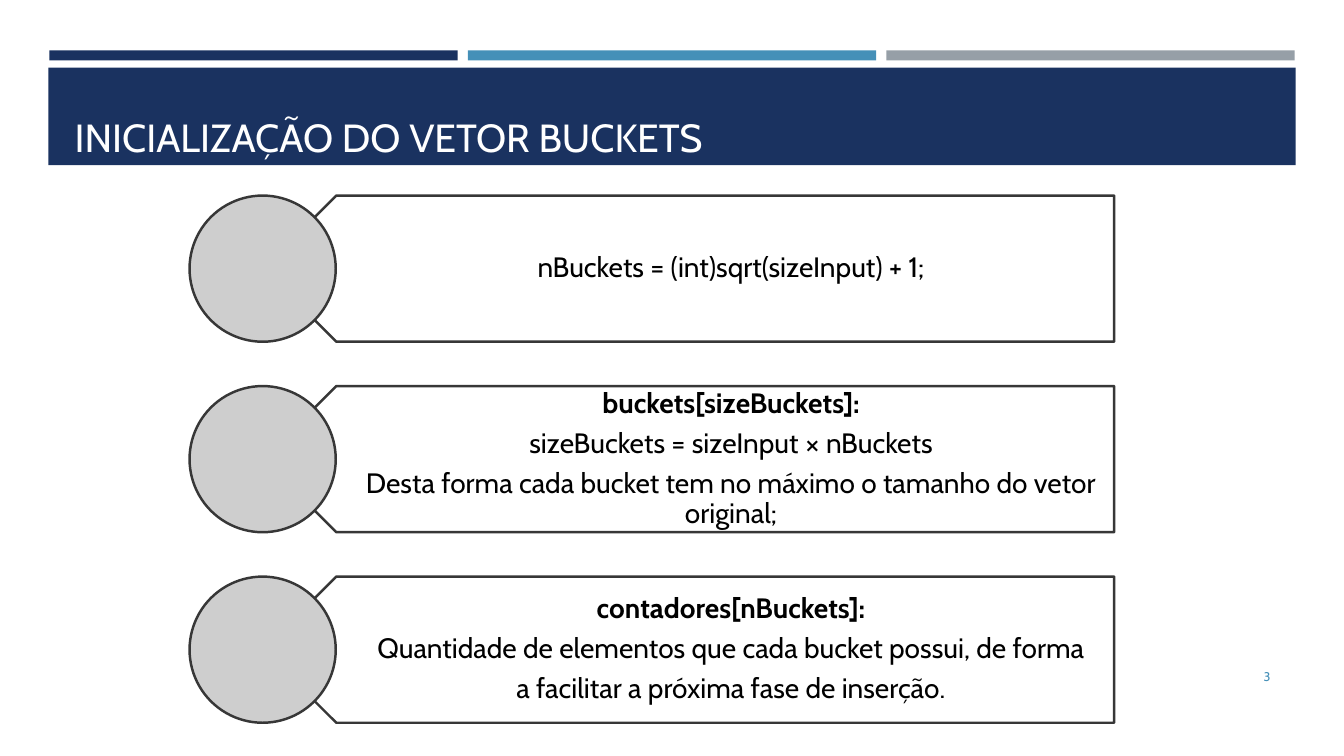
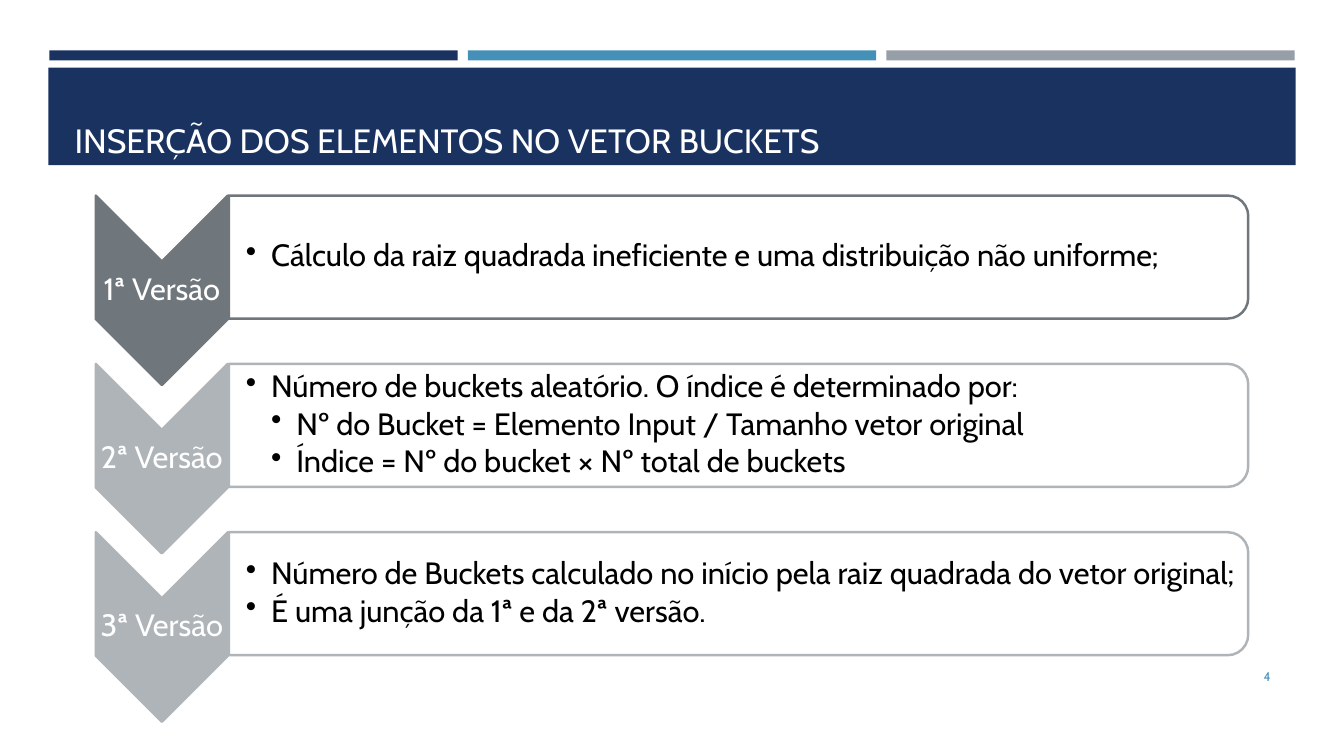
import itertools
from dataclasses import dataclass
from typing import Any

import lxml.etree
import pptx
import pptx.dml.color
import pptx.enum.shapes
import pptx.enum.text
import pptx.oxml.ns
import pptx.util

Inches = pptx.util.Inches
Pt = pptx.util.Pt
Shape = pptx.enum.shapes.MSO_SHAPE
Align = pptx.enum.text.PP_ALIGN
Anchor = pptx.enum.text.MSO_ANCHOR

NAVY, BLUE, GREY = "1A3260", "4590B8", "969FA7"
WHITE, BLACK = "FFFFFF", "000000"
OUTLINE, DISC = "373737", "CECECE"
DARK_STEP, LIGHT_STEP = "6F767C", "AFB4B9"
BODY_FONT, SYMBOL_FONT = "Cabin", "Karla"


@dataclass(frozen=True)
class Frame:
    left: float
    top: float
    width: float
    height: float

    def lengths(self) -> list[Any]:
        return [Inches(n) for n in (self.left, self.top, self.width, self.height)]

    def turned(self) -> "Frame":
        shift = (self.width - self.height) / 2
        return Frame(self.left + shift, self.top - shift, self.height, self.width)


@dataclass(frozen=True)
class Line:
    text: str
    bold: bool = False
    level: int = 0


@dataclass(frozen=True)
class Version:
    label: str
    color: str
    lines: tuple[Line, ...]


BUCKET_ROWS = (
    (Line("nBuckets = (int)sqrt(sizeInput) + 1;"),),
    (
        Line("buckets[sizeBuckets]:", bold=True),
        Line("sizeBuckets = sizeInput × nBuckets"),
        Line("Desta forma cada bucket tem no máximo o tamanho do vetor original;"),
    ),
    (
        Line("contadores[nBuckets]:", bold=True),
        Line("Quantidade de elementos que cada bucket possui, de forma"),
        Line("a facilitar a próxima fase de inserção."),
    ),
)

VERSIONS = (
    Version("1ª Versão", DARK_STEP, (
        Line("Cálculo da raiz quadrada ineficiente e uma distribuição não uniforme;", level=1),
    )),
    Version("2ª Versão", LIGHT_STEP, (
        Line("Número de buckets aleatório. O índice é determinado por:", level=1),
        Line("Nº do Bucket = Elemento Input / Tamanho vetor original", level=2),
        Line("Índice = Nº do bucket × Nº total de buckets", level=2),
    )),
    Version("3ª Versão", LIGHT_STEP, (
        Line("Número de Buckets calculado no início pela raiz quadrada do vetor original;", level=1),
        Line("É uma junção da 1ª e da 2ª versão.", level=1),
    )),
)


def rgb(color: str) -> pptx.dml.color.RGBColor:
    return pptx.dml.color.RGBColor.from_string(color)


def add_figure(page: Any, kind: Any, frame: Frame, fill: str, line: str | None = None,
               rotation: int = 0, opacity: int = 100) -> Any:
    figure = page.shapes.add_shape(kind, *frame.lengths())
    figure.shadow.inherit = False
    figure.rotation = rotation
    figure.fill.solid()
    figure.fill.fore_color.rgb = rgb(fill)
    if opacity < 100:
        swatch = figure.element.spPr.find(".//" + pptx.oxml.ns.qn("a:srgbClr"))
        alpha = lxml.etree.SubElement(swatch, pptx.oxml.ns.qn("a:alpha"))
        alpha.set("val", str(opacity * 1000))
    if line:
        figure.line.color.rgb = rgb(line)
        figure.line.width = Pt(1.75)
    else:
        figure.line.fill.background()
    return figure


def write(text_frame: Any, text: str, *, size: float, color: str, align: Any = Align.LEFT,
          bold: bool = False, level: int = 0, spacing: float = 1, after: float = 0) -> None:
    para = text_frame.paragraphs[0]
    if para.runs:
        para = text_frame.add_paragraph()
    para.alignment = align
    para.line_spacing = spacing
    para.space_before = Pt(0)
    para.space_after = Pt(after)
    if level:
        para.level = level
        properties = para._p.get_or_add_pPr()
        properties.set("marL", str(Inches(0.25 * level)))
        properties.set("indent", str(Inches(-0.25)))
        bullet = lxml.etree.SubElement(properties, pptx.oxml.ns.qn("a:buChar"))
        bullet.set("char", "•")
    for is_symbol, letters in itertools.groupby(text, key=lambda letter: letter == "×"):
        span = para.add_run()
        span.text = "".join(letters)
        span.font.name = SYMBOL_FONT if is_symbol else BODY_FONT
        span.font.size = Pt(size)
        span.font.bold = bold
        span.font.color.rgb = rgb(color)


def add_box(page: Any, frame: Frame, lines: tuple[Line, ...],
            insets: tuple[float, float, float, float] = (0.1, 0.05, 0.1, 0.05),
            **text_format: Any) -> None:
    text_frame = page.shapes.add_textbox(*frame.lengths()).text_frame
    text_frame.word_wrap = True
    text_frame.vertical_anchor = Anchor.MIDDLE
    (text_frame.margin_left, text_frame.margin_top,
     text_frame.margin_right, text_frame.margin_bottom) = map(Inches, insets)
    for line in lines:
        write(text_frame, line.text, bold=line.bold, level=line.level, **text_format)


def add_bands(deck: Any, layout: Any) -> None:
    page = deck.slides[0]
    bands = [add_figure(page, Shape.RECTANGLE, Frame(0.49 + 4.15 * column, 0.5, 4.05, 0.1), color)
             for column, color in enumerate((NAVY, BLUE, GREY))]
    bands.append(add_figure(page, Shape.RECTANGLE, Frame(0.48, 0.67, 12.37, 0.97), NAVY))
    for position, band in enumerate(bands, start=2):
        layout.shapes.element.insert(position, band.element)


def add_page(deck: Any, layout: Any, title: str, size: float) -> Any:
    page = deck.slides.add_slide(layout)
    box = page.shapes.title
    box.left, box.top, box.width, box.height = Frame(0.64, 0.77, 12.06, 0.87).lengths()
    box.text_frame.auto_size = pptx.enum.text.MSO_AUTO_SIZE.NONE
    box.text_frame.vertical_anchor = Anchor.BOTTOM
    write(box.text_frame, title, size=size, color=WHITE)
    return page


def add_number(page: Any, number: int) -> None:
    add_box(page, Frame(11.55, 6.51, 1.15, 0.4), (Line(str(number)),),
            size=9, color=BLUE, align=Align.RIGHT)


def add_bucket_rows(page: Any) -> None:
    for row, lines in enumerate(BUCKET_ROWS):
        top = 1.94 + 1.89 * row
        add_figure(page, Shape.PENTAGON, Frame(2.61, top, 8.44, 1.45), WHITE, OUTLINE, 180)
        add_box(page, Frame(2.97, top, 8.08, 1.45), lines, (0.64, 0.08, 0.16, 0.08),
                size=20, color=BLACK, align=Align.CENTER, spacing=0.9, after=7)
        add_figure(page, Shape.OVAL, Frame(1.88, top, 1.45, 1.45), DISC, OUTLINE)


def add_versions(page: Any) -> None:
    for row, version in enumerate(VERSIONS):
        top = 1.94 + 1.67 * row
        add_figure(page, Shape.CHEVRON, Frame(0.95, top, 1.31, 1.88).turned(),
                   version.color, version.color, 90)
        add_box(page, Frame(0.95, top + 0.66, 1.31, 0.56), (Line(version.label),),
                (0.02, 0.02, 0.02, 0.02), size=22, color=WHITE, align=Align.CENTER,
                spacing=0.9, after=7)
        add_figure(page, Shape.ROUND_2_SAME_RECTANGLE, Frame(2.27, top, 10.11, 1.22).turned(),
                   WHITE, version.color, 90, opacity=90)
        add_box(page, Frame(2.27, top + 0.06, 10.06, 1.1), version.lines,
                (0.17, 0.02, 0.02, 0.02), size=22, color=BLACK, spacing=0.9, after=3)


def main() -> None:
    deck = pptx.Presentation()
    deck.slide_width, deck.slide_height = Inches(13.33), Inches(7.5)
    layout = deck.slide_layouts[5]
    buckets = add_page(deck, layout, "INICIALIZAÇÃO DO VETOR BUCKETS", 28)
    insertion = add_page(deck, layout, "INSERÇÃO DOS ELEMENTOS NO VETOR BUCKETS", 24)
    add_bands(deck, layout)
    add_bucket_rows(buckets)
    add_versions(insertion)
    for number, page in enumerate((buckets, insertion), start=3):
        add_number(page, number)
    deck.save("out.pptx")


if __name__ == "__main__":
    main()
